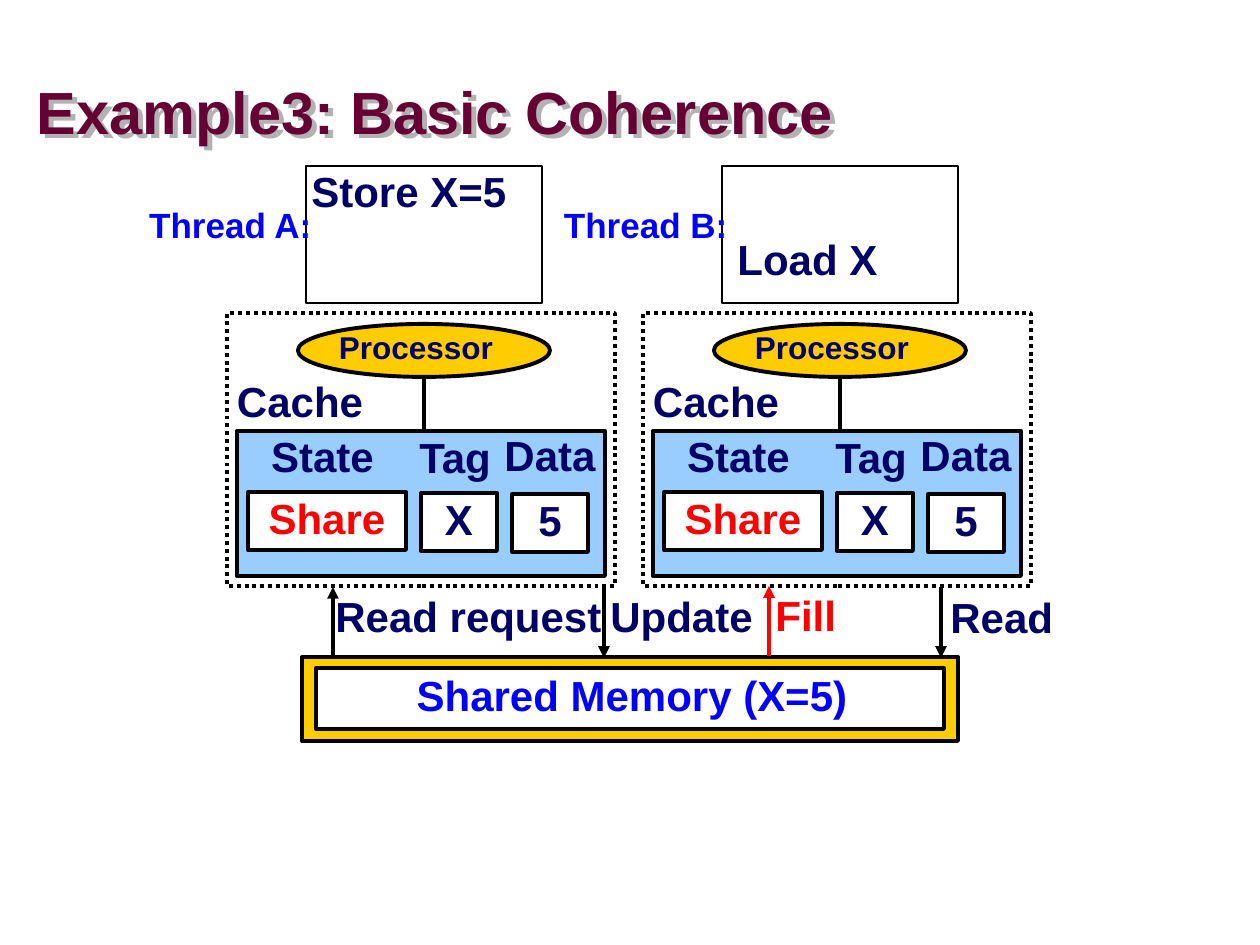
from dataclasses import dataclass, replace

import pptx
import pptx.dml.color
import pptx.enum.dml
import pptx.enum.shapes
import pptx.enum.text
import pptx.oxml
import pptx.oxml.ns
import pptx.util

PX = 914400 / 126
NODE_STEP = 416
FONT = "Arial"
BLACK, WHITE, NAVY = "000000", "FFFFFF", "000066"
BLUE, RED, GOLD, SKY, MAROON = "0000FF", "FF0000", "FFCC00", "99CCFF", "660033"
RECT = pptx.enum.shapes.MSO_SHAPE.RECTANGLE
OVAL = pptx.enum.shapes.MSO_SHAPE.OVAL
LEFT = pptx.enum.text.PP_ALIGN.LEFT
CENTER = pptx.enum.text.PP_ALIGN.CENTER
RIGHT = pptx.enum.text.PP_ALIGN.RIGHT
TOP = pptx.enum.text.MSO_ANCHOR.TOP
MIDDLE = pptx.enum.text.MSO_ANCHOR.MIDDLE
NAMESPACE = pptx.oxml.ns.nsdecls("a")


@dataclass(frozen=True)
class Area:
    x: int
    y: int
    w: int
    h: int

    def shifted(self, dx: int) -> "Area":
        return replace(self, x=self.x + dx)

    def emu(self) -> list[int]:
        return [px(value) for value in (self.x, self.y, self.w, self.h)]


@dataclass(frozen=True)
class Label:
    text: str
    area: Area
    size: int = 24
    color: str = NAVY
    align: int = LEFT
    anchor: int = TOP
    wrap: bool = False

    def shifted(self, dx: int) -> "Label":
        return replace(self, area=self.area.shifted(dx))


@dataclass(frozen=True)
class Field:
    heading: Label
    value: Label


@dataclass(frozen=True)
class Message:
    label: Label
    x: int
    start: int
    end: int
    color: str = BLACK


FIELDS = [
    Field(Label("Tag", Area(394, 431, 122, 58), align=CENTER, wrap=True),
          Label("X", Area(421, 493, 76, 58), align=CENTER, wrap=True)),
    Field(Label("State", Area(258, 430, 129, 58), align=CENTER, wrap=True),
          Label("Share", Area(248, 492, 158, 58), color=RED, align=CENTER, wrap=True)),
    Field(Label("Data", Area(489, 429, 122, 58), align=CENTER, wrap=True),
          Label("5", Area(512, 494, 76, 58), align=CENTER, wrap=True)),
]
OPERATIONS = [
    Label("Store X=5", Area(299, 165, 226, 58)),
    Label("Load X", Area(725, 233, 172, 58)),
]
MESSAGES = [
    Message(Label("Read", Area(938, 591, 134, 58)), 941, 587, 658),
    Message(Label("Update", Area(598, 590, 175, 58)), 604, 587, 658),
    Message(Label("Read request", Area(323, 590, 329, 58), wrap=True), 333, 658, 587),
    Message(Label("Fill", Area(763, 589, 93, 58), color=RED), 769, 656, 586, RED),
]


def px(value: int) -> int:
    return round(value * PX)


def rgb(color: str) -> pptx.dml.color.RGBColor:
    return pptx.dml.color.RGBColor.from_string(color)


def write(shape, label: Label) -> None:
    frame = shape.text_frame
    frame.word_wrap = label.wrap
    frame.auto_size = pptx.enum.text.MSO_AUTO_SIZE.SHAPE_TO_FIT_TEXT
    frame.vertical_anchor = label.anchor
    paragraph = frame.paragraphs[0]
    paragraph.text = label.text
    paragraph.alignment = label.align
    paragraph.line_spacing = 0.9
    font = paragraph.font
    font.name, font.size, font.bold = FONT, pptx.util.Pt(label.size), True
    font.color.rgb = rgb(label.color)


def add_label(shapes, label: Label):
    box = shapes.add_textbox(*label.area.emu())
    write(box, label)
    return box


def add_box(shapes, area: Area, fill: str | None = None, weight: float = 2.25, kind=RECT):
    box = shapes.add_shape(kind, *area.emu())
    box.shadow.inherit = False
    if fill:
        box.fill.solid()
        box.fill.fore_color.rgb = rgb(fill)
    else:
        box.fill.background()
    box.line.color.rgb = rgb(BLACK)
    box.line.width = pptx.util.Pt(weight)
    return box


def add_line(shapes, x: int, start: int, end: int, color: str = BLACK, arrow: bool = False) -> None:
    line = shapes.add_connector(pptx.enum.shapes.MSO_CONNECTOR.STRAIGHT,
                                px(x), px(start), px(x), px(end))
    line.line.color.rgb = rgb(color)
    line.line.width = pptx.util.Pt(2.25)
    if arrow:
        tail = pptx.oxml.parse_xml(f'<a:tailEnd {NAMESPACE} type="triangle"/>')
        line.line._get_or_add_ln().append(tail)
    line._element.spPr.append(pptx.oxml.parse_xml(f'<a:effectLst {NAMESPACE}/>'))


def add_title(shapes) -> None:
    title = add_label(shapes, Label("Example3: Basic Coherence", Area(37, 84, 1187, 63),
                                    size=34, color=MAROON, anchor=MIDDLE, wrap=True))
    frame = title.text_frame
    frame.auto_size = pptx.enum.text.MSO_AUTO_SIZE.NONE
    frame.margin_left = frame.margin_right = frame.margin_top = frame.margin_bottom = 0
    frame.paragraphs[0].line_spacing = 0.87
    title._element.spPr.append(pptx.oxml.parse_xml(
        f'<a:effectLst {NAMESPACE}><a:outerShdw dist="50800" dir="2700000">'
        '<a:srgbClr val="B2B2B2"/></a:outerShdw></a:effectLst>'))


def add_memory(shapes) -> None:
    add_box(shapes, Area(302, 657, 656, 84), GOLD)
    add_box(shapes, Area(316, 668, 628, 61), WHITE)
    add_label(shapes, Label("Shared Memory (X=5)", Area(400, 669, 464, 58),
                            color=BLUE, align=CENTER))


def add_node(shapes, thread: str, dx: int) -> None:
    add_box(shapes, Area(298, 324, 252, 53).shifted(dx), GOLD, kind=OVAL)
    add_label(shapes, Label("Cache", Area(221, 375, 158, 58), align=CENTER).shifted(dx))
    add_label(shapes, Label("Processor", Area(323, 326, 186, 47), size=18,
                            align=CENTER, anchor=MIDDLE).shifted(dx))
    add_box(shapes, Area(306, 166, 236, 137).shifted(dx), weight=1)
    node_frame = add_box(shapes, Area(227, 313, 388, 273).shifted(dx))
    node_frame.line.dash_style = pptx.enum.dml.MSO_LINE.ROUND_DOT
    cache = shapes.add_group_shape().shapes
    add_box(cache, Area(237, 431, 368, 145).shifted(dx), SKY)
    for field in FIELDS:
        value = field.value.shifted(dx)
        write(add_box(cache, value.area, WHITE), value)
        add_label(cache, field.heading.shifted(dx))
    add_line(shapes, 424 + dx, 378, 431)
    add_label(shapes, Label(thread, Area(128, 202, 196, 50), size=20,
                            color=BLUE, align=RIGHT).shifted(dx))


def main() -> None:
    deck = pptx.Presentation()
    deck.slide_width, deck.slide_height = px(1260), px(945)
    shapes = deck.slides.add_slide(deck.slide_layouts[6]).shapes
    add_title(shapes)
    add_memory(shapes)
    for index, thread in enumerate(["Thread A:", "Thread B:"]):
        add_node(shapes, thread, index * NODE_STEP)
    for operation in OPERATIONS:
        add_label(shapes, operation)
    for message in MESSAGES:
        add_label(shapes, message.label)
        add_line(shapes, message.x, message.start, message.end, message.color, arrow=True)
    deck.save("out.pptx")


if __name__ == "__main__":
    main()
